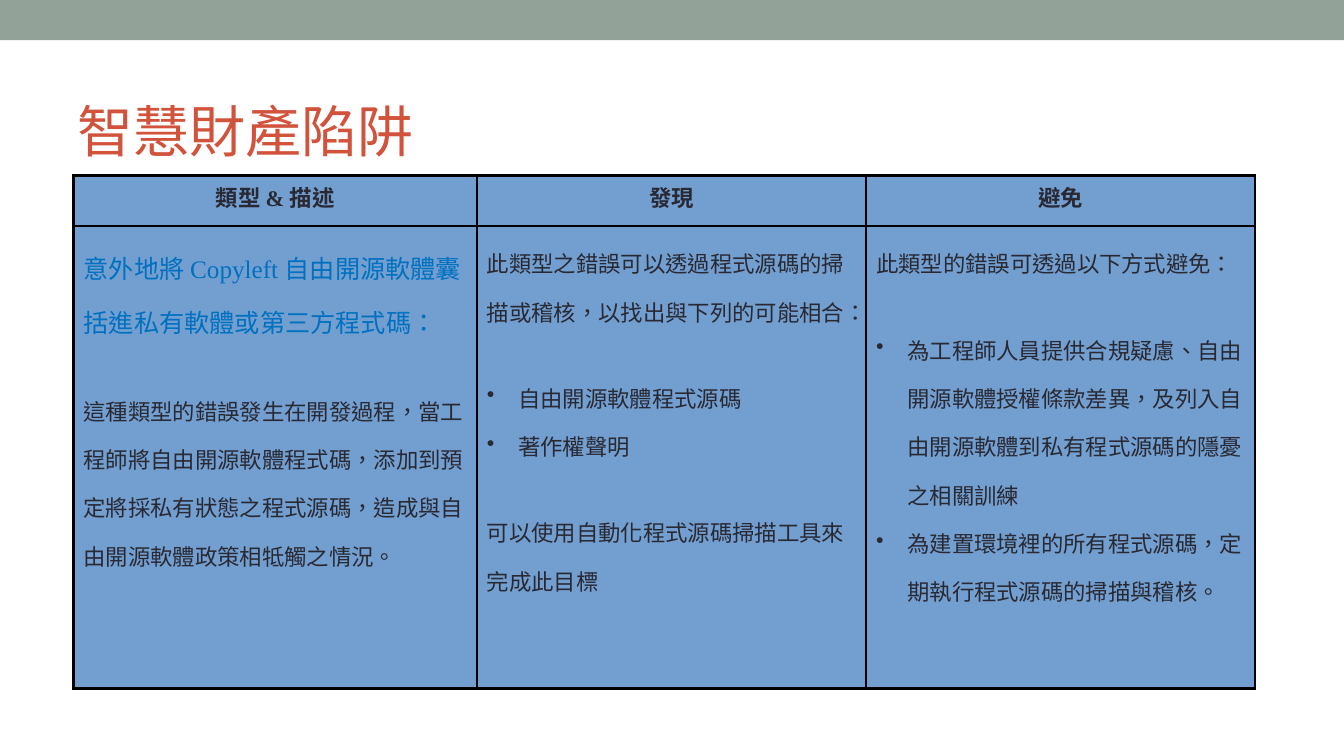
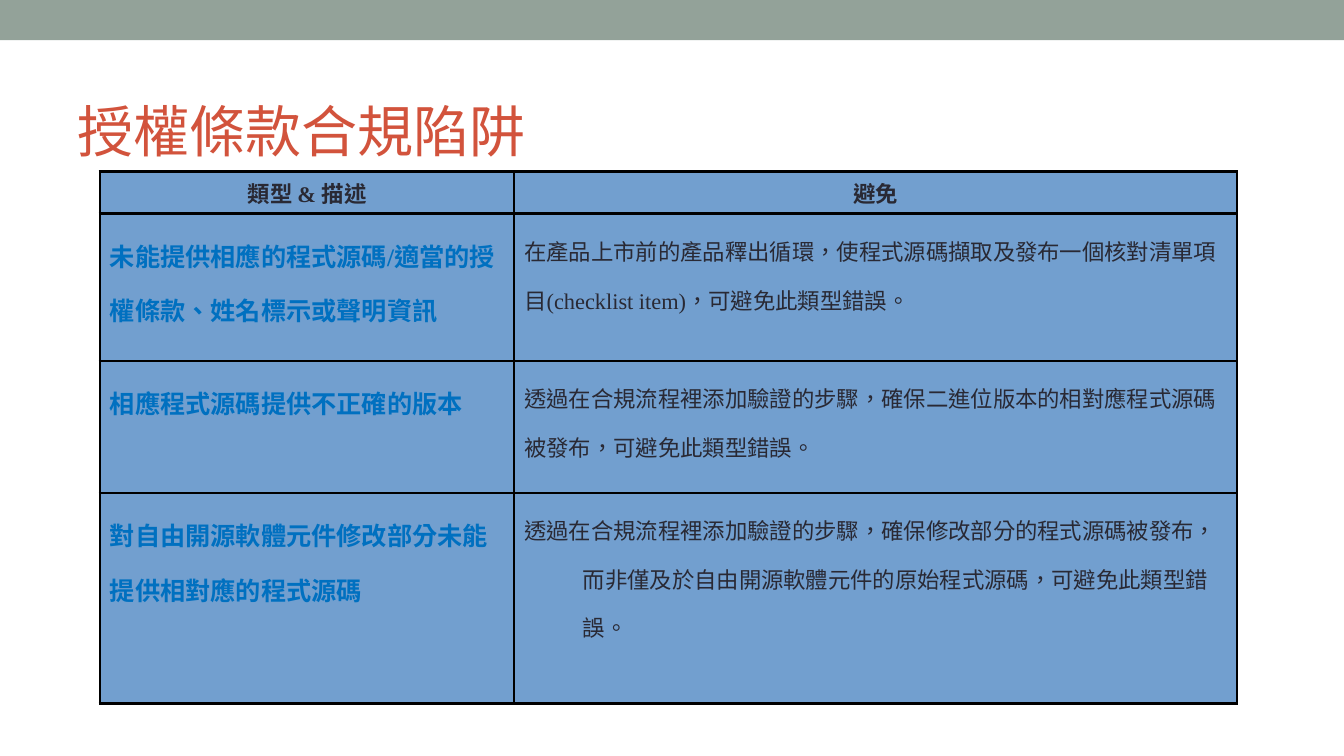
from lxml.etree import SubElement
from pptx import Presentation
from pptx.dml.color import RGBColor
from pptx.enum.lang import MSO_LANGUAGE_ID as Language
from pptx.enum.shapes import MSO_SHAPE as Shape
from pptx.enum.text import MSO_ANCHOR as Anchor, PP_ALIGN as Align
from pptx.oxml.ns import qn
from pptx.util import Inches, Pt

COLORS = {
    "band": "93A299",
    "title": "D2533C",
    "text": "292934",
    "lead": "0070C0",
    "cell": "729FCF",
    "border": "000000",
}
FONT = "Times New Roman"
SLIDE_WIDTH, SLIDE_HEIGHT = 13.33, 7.5
BORDER_WIDTH = 2

TITLE = {"size": 40, "color": "title", "line_spacing": 1.5}
HEADER = {"bold": True, "align": Align.CENTER}
BODY = {"line_spacing": 1.5}
LEAD = {**BODY, "size": 18, "color": "lead"}
BOLD_LEAD = {**LEAD, "bold": True}
BULLET = {**BODY, "hanging": 0.31, "bullet": "•"}
HANGING = {**BODY, "hanging": 0.58}
GAP = {"space_before": 27}


def rgb(name):
    return RGBColor.from_string(COLORS[name])


def add_text(frame, text, size=16, color="text", bold=False, align=Align.LEFT,
             line_spacing=1.0, space_before=0, hanging=0, bullet=None):
    """Fill the empty first paragraph of the frame, or append another one."""
    paragraph = frame.paragraphs[0]
    if paragraph.runs:
        paragraph = frame.add_paragraph()
    properties = paragraph._p.get_or_add_pPr()
    if hanging:
        properties.set("marL", str(Inches(hanging)))
        properties.set("indent", str(-Inches(hanging)))
    if bullet:
        SubElement(properties, qn("a:buChar"), char=bullet)
    paragraph.alignment = align
    paragraph.line_spacing = line_spacing
    paragraph.space_before = Pt(space_before)

    run = paragraph.add_run()
    run.text = text
    font = run.font
    font.name = FONT
    font.size = Pt(size)
    font.bold = bold
    font.color.rgb = rgb(color)
    font.language_id = Language.TRADITIONAL_CHINESE


def add_band(slide):
    band = slide.shapes.add_shape(Shape.RECTANGLE, 0, 0, Inches(SLIDE_WIDTH), Inches(0.4))
    band.shadow.inherit = False
    band.fill.solid()
    band.fill.fore_color.rgb = rgb("band")
    band.line.fill.background()


def add_title(slide, title):
    box = slide.shapes.add_textbox(Inches(0.67), Inches(0.58), Inches(12), Inches(1.08))
    frame = box.text_frame
    frame.word_wrap = True
    frame.vertical_anchor = Anchor.MIDDLE
    add_text(frame, title, **TITLE)


def add_borders(cell):
    properties = cell._tc.get_or_add_tcPr()
    for side in ("lnL", "lnR", "lnT", "lnB"):
        line = SubElement(properties, qn(f"a:{side}"), w=str(Pt(BORDER_WIDTH)))
        fill = SubElement(line, qn("a:solidFill"))
        SubElement(fill, qn("a:srgbClr"), val=COLORS["border"])


def add_table(slide, left, top, widths, heights, rows):
    """Each cell is a list of (text, format) pairs, one for each paragraph."""
    table = slide.shapes.add_table(
        len(heights), len(widths), Inches(left), Inches(top),
        Inches(sum(widths)), Inches(sum(heights))).table
    table.first_row = table.horz_banding = False
    for column, width in zip(table.columns, widths):
        column.width = Inches(width)
    for row, height, contents in zip(table.rows, heights, rows):
        row.height = Inches(height)
        for cell, paragraphs in zip(row.cells, contents):
            add_borders(cell)
            cell.fill.solid()
            cell.fill.fore_color.rgb = rgb("cell")
            for text, text_format in paragraphs:
                add_text(cell.text_frame, text, **text_format)


def header_row(*labels):
    return [[(label, HEADER)] for label in labels]


def add_slide(presentation, title, **table):
    slide = presentation.slides.add_slide(presentation.slide_layouts[6])
    add_band(slide)
    add_title(slide, title)
    add_table(slide, **table)


def main():
    presentation = Presentation()
    presentation.slide_width = Inches(SLIDE_WIDTH)
    presentation.slide_height = Inches(SLIDE_HEIGHT)

    add_slide(
        presentation, "智慧財產陷阱",
        left=0.73, top=1.74, widths=[4, 3.86, 3.86], heights=[0.5, 4.59],
        rows=[
            header_row("類型 & 描述", "發現", "避免"),
            [
                [
                    ("意外地將 Copyleft 自由開源軟體囊括進私有軟體或第三方程式碼：", LEAD),
                    ("這種類型的錯誤發生在開發過程，當工程師將自由開源軟體程式碼，"
                     "添加到預定將採私有狀態之程式源碼，造成與自由開源軟體政策相牴觸之情況。",
                     {**BODY, **GAP}),
                ],
                [
                    ("此類型之錯誤可以透過程式源碼的掃描或稽核，以找出與下列的可能相合：", BODY),
                    ("自由開源軟體程式源碼", {**BULLET, **GAP}),
                    ("著作權聲明", BULLET),
                    ("可以使用自動化程式源碼掃描工具來完成此目標", {**BODY, **GAP}),
                ],
                [
                    ("此類型的錯誤可透過以下方式避免：", BODY),
                    ("為工程師人員提供合規疑慮、自由開源軟體授權條款差異，"
                     "及列入自由開源軟體到私有程式源碼的隱憂之相關訓練",
                     {**BULLET, **GAP}),
                    ("為建置環境裡的所有程式源碼，定期執行程式源碼的掃描與稽核。", BULLET),
                ],
            ],
        ])

    add_slide(
        presentation, "授權條款合規陷阱",
        left=0.99, top=1.7, widths=[4.11, 7.17], heights=[0.42, 1.46, 1.31, 2.09],
        rows=[
            header_row("類型 & 描述", "避免"),
            [
                [("未能提供相應的程式源碼/適當的授權條款、姓名標示或聲明資訊", BOLD_LEAD)],
                [("在產品上市前的產品釋出循環，使程式源碼擷取及發布一個核對清單項目"
                  "(checklist item)，可避免此類型錯誤。", BODY)],
            ],
            [
                [("相應程式源碼提供不正確的版本", BOLD_LEAD)],
                [("透過在合規流程裡添加驗證的步驟，確保二進位版本的相對應程式源碼被發布，"
                  "可避免此類型錯誤。", BODY)],
            ],
            [
                [("對自由開源軟體元件修改部分未能提供相對應的程式源碼", BOLD_LEAD)],
                [("透過在合規流程裡添加驗證的步驟，確保修改部分的程式源碼被發布，"
                  "而非僅及於自由開源軟體元件的原始程式源碼，可避免此類型錯誤。", HANGING)],
            ],
        ])

    presentation.save("out.pptx")


if __name__ == "__main__":
    main()
